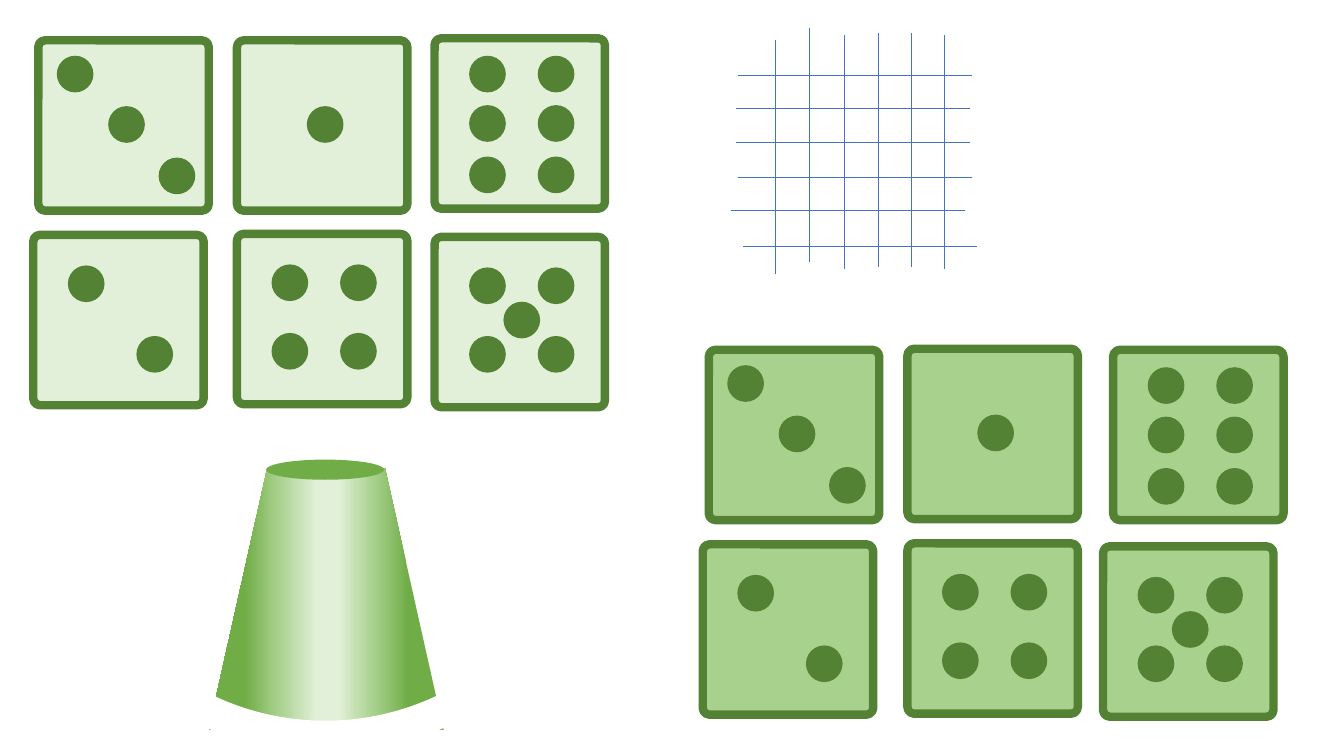
from lxml import etree
from pptx import Presentation
from pptx.dml.color import RGBColor
from pptx.enum.shapes import MSO_CONNECTOR, MSO_SHAPE
from pptx.oxml.ns import qn
from pptx.util import Inches, Pt

COLORS = {"pip": "548235", "pale": "E2F0D9", "light": "A9D18E",
          "cup": "70AD47", "grid": "4472C4", "paper": "FFFFFF"}
DIE, PIP, GRID_LINE = 1.69, 0.35, 2.32

# Pip places, from the die's top left corner
CORNERS = [(0.35, 0.31), (1.03, 0.31), (1.03, 0.99), (0.35, 0.99)]
PIPS = {
    1: [(0.70, 0.66)],
    2: [(0.35, 0.31), (1.03, 1.01)],
    3: [(0.19, 0.16), (0.70, 0.66), (1.20, 1.17)],
    4: CORNERS,
    5: CORNERS + [(0.69, 0.65)],
    6: [(x, y) for y in (0.18, 0.67, 1.18) for x in (0.35, 1.03)],
}
FACES = [[3, 1, 6], [2, 4, 5]]

# Column lefts, row tops and the small hand-placed offset of each face
DICE_SETS = [
    {"face_fill": "pale", "columns": (0.38, 2.35, 4.31), "rows": (0.40, 2.33),
     "nudges": {2: (-0.05, 0), 4: (0, -0.01), 5: (0, 0.02), 6: (0, -0.02)}},
    {"face_fill": "light", "columns": (7.03, 9.00, 11.04), "rows": (3.47, 5.40),
     "nudges": {1: (0, -0.01), 2: (-0.06, 0), 4: (0, -0.01), 5: (-0.10, 0.02)}},
]

# Start points of the hand-drawn grid lines
GRID_ROWS = [(7.32, 0.75), (7.30, 1.08), (7.30, 1.41),
             (7.32, 1.76), (7.25, 2.09), (7.37, 2.44)]
GRID_COLUMNS = [(7.69, 0.40), (8.03, 0.28), (8.37, 0.35),
                (8.71, 0.33), (9.04, 0.33), (9.37, 0.35)]
CUP_STOPS = [(15, "cup"), (30, "light"), (45, "pale"),
             (54, "pale"), (70, "light"), (85, "cup")]


def color(name):
    return RGBColor.from_string(COLORS[name])


def set_line(line, name, width):
    line.color.rgb = color(name)
    line.width = Pt(width)


def add_piece(group, kind, box, fill=None, line=None):
    piece = group.shapes.add_shape(kind, *map(Inches, box))
    piece.shadow.inherit = False
    if fill:
        piece.fill.solid()
        piece.fill.fore_color.rgb = color(fill)
    else:
        piece.fill.background()
    if line:
        set_line(piece.line, *line)
    else:
        piece.line.fill.background()
    return piece


def add_die(slide, left, top, face, face_fill):
    die = slide.shapes.add_group_shape()
    body = add_piece(die, MSO_SHAPE.ROUNDED_RECTANGLE, (left, top, DIE, DIE),
                     face_fill, ("pip", 6))
    body.adjustments[0] = 0.04
    for x, y in PIPS[face]:
        add_piece(die, MSO_SHAPE.OVAL, (left + x, top + y, PIP, PIP),
                  "pip", ("pip", 1))


def add_dice(slide, face_fill, columns, rows, nudges):
    for top, faces in zip(rows, FACES):
        for left, face in zip(columns, faces):
            dx, dy = nudges.get(face, (0, 0))
            add_die(slide, left + dx, top + dy, face, face_fill)


def add_grid(slide):
    grid = slide.shapes.add_group_shape()
    for starts, run, rise in ((GRID_ROWS, GRID_LINE, 0),
                              (GRID_COLUMNS, 0, GRID_LINE)):
        for x, y in starts:
            ends = map(Inches, (x, y, x + run, y + rise))
            rule = grid.shapes.add_connector(MSO_CONNECTOR.STRAIGHT, *ends)
            set_line(rule.line, "grid", 0.5)
            etree.SubElement(rule._element.spPr, qn("a:effectLst"))


def set_gradient(piece, stops, angle):
    piece.fill.gradient()
    piece.fill.gradient_angle = angle
    stop_list = piece._element.spPr.find(".//" + qn("a:gsLst"))
    for old_stop in list(stop_list):
        stop_list.remove(old_stop)
    for percent, name in stops:
        stop = etree.SubElement(stop_list, qn("a:gs"), pos=str(percent * 1000))
        etree.SubElement(stop, qn("a:srgbClr"), val=COLORS[name])


def add_cup(slide):
    cup = slide.shapes.add_group_shape()
    side = add_piece(cup, MSO_SHAPE.TRAPEZOID, (2.07, 4.64, 2.33, 2.60))
    set_gradient(side, CUP_STOPS, 180)
    add_piece(cup, MSO_SHAPE.OVAL, (2.64, 4.56, 1.17, 0.20), "cup")
    # A thick arc in the paper colour rounds the cup's base
    base = add_piece(cup, MSO_SHAPE.ARC, (0.47, 1.80, 5.51, 5.51),
                     line=("paper", 23))
    base.rotation = 134.1


def main():
    deck = Presentation()
    for side, length in {"slide_width": 13.33, "slide_height": 7.5}.items():
        setattr(deck, side, Inches(length))
    slide = deck.slides.add_slide(deck.slide_layouts[6])

    add_grid(slide)
    for dice in DICE_SETS:
        add_dice(slide, **dice)
    add_cup(slide)
    deck.save("out.pptx")


main()
